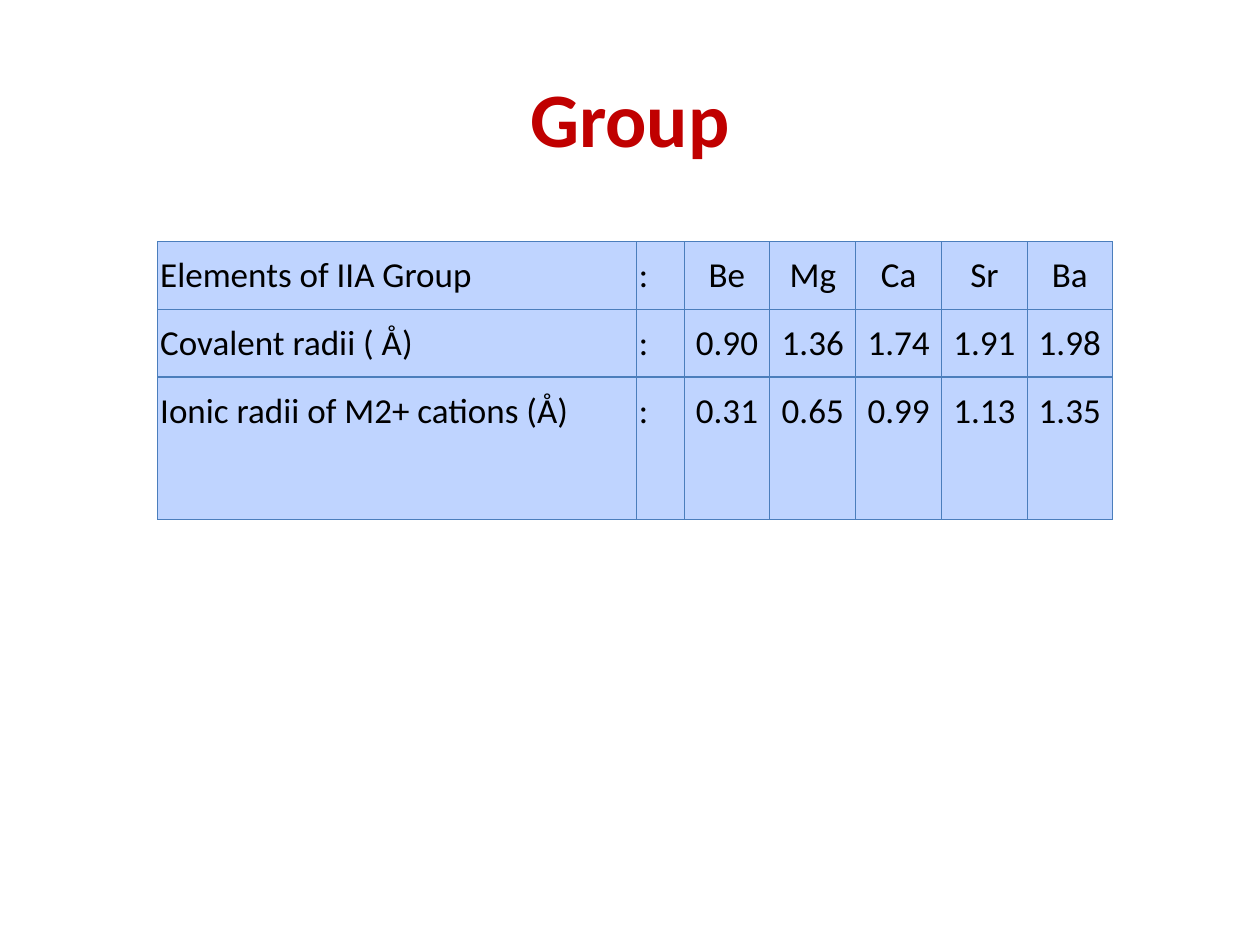
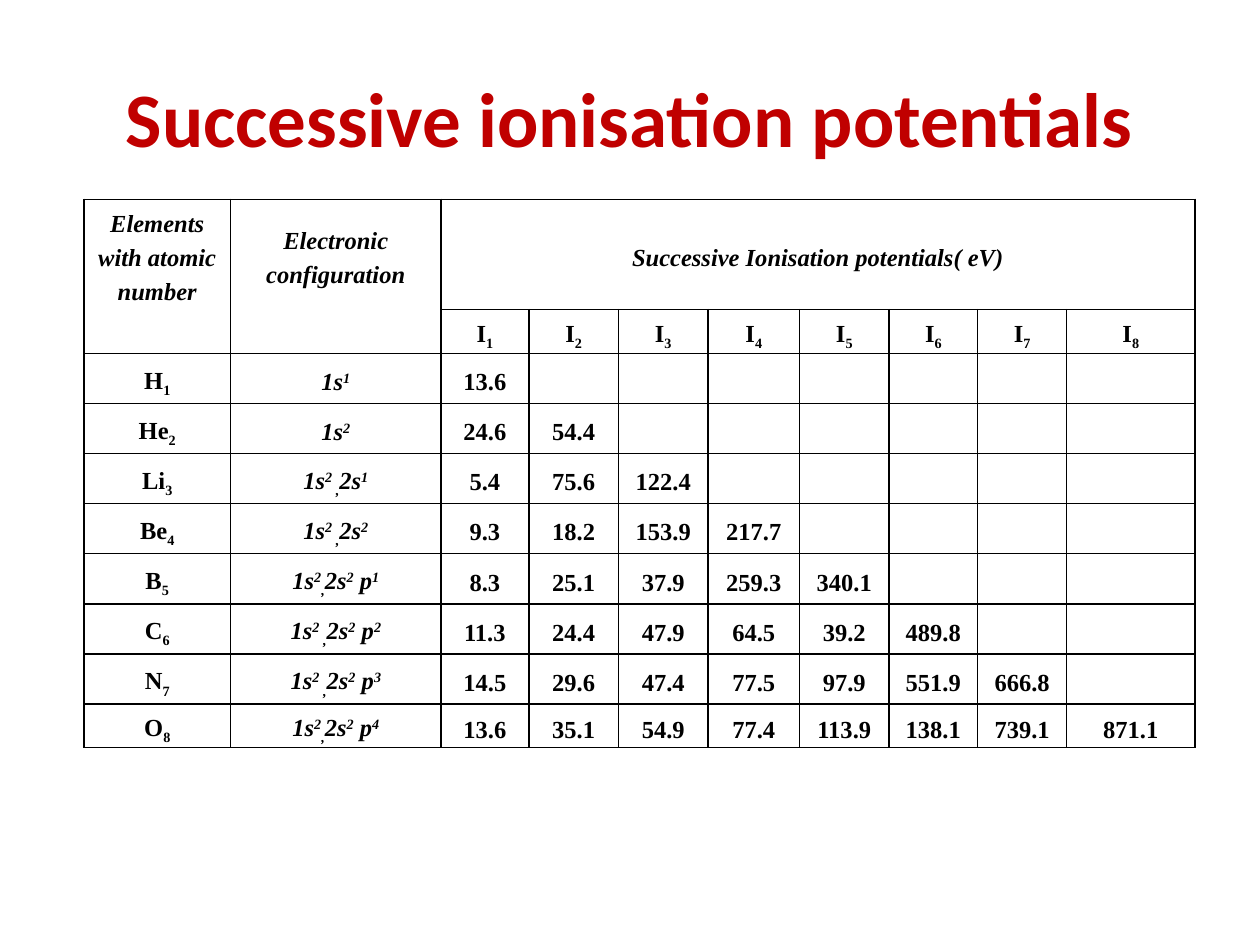
from pptx import Presentation
from pptx.dml.color import RGBColor as RGB
from pptx.enum.text import MSO_ANCHOR as Anchor, PP_ALIGN as Align
from pptx.oxml import parse_xml
from pptx.oxml.ns import nsdecls
from pptx.util import Cm, Pt

HUES = {"title": "C00000", "text": "000000", "cell": "BFD4FF",
        "edge": "4B7EBC", "rule": "000000"}
SHIFT = {"^": "30000", "_": "-25000"}

deck = Presentation()
deck.slide_width, deck.slide_height = Cm(25.4), Cm(19.05)


def start(title, left, top, cols, rows):
    """Add a slide with its title and an empty table; return the table."""
    slide = deck.slides.add_slide(deck.slide_layouts[6])
    frame = slide.shapes.add_textbox(Cm(1.27), Cm(0.76), Cm(22.86), Cm(3.18)).text_frame
    frame.word_wrap = True
    frame.vertical_anchor = Anchor.MIDDLE
    para = frame.paragraphs[0]
    para.text = title
    para.alignment = Align.CENTER
    para.font.name, para.font.size, para.font.bold = "Calibri", Pt(44), True
    para.font.color.rgb = RGB.from_string(HUES["title"])

    table = slide.shapes.add_table(len(rows), len(cols), Cm(left), Cm(top),
                                   Cm(sum(cols)), Cm(sum(rows))).table
    table.first_row = table.horz_banding = False
    for col, width in zip(table.columns, cols):
        col.width = Cm(width)
    for row, height in zip(table.rows, rows):
        row.height = Cm(height)
    return table


def fill(cell, text, font, size, hue, width, bare="", bold=False, italic=False):
    """Style a cell and return its paragraph.

    '|' parts runs; a leading ^ or _ raises or lowers one.
    Sides named in bare (L, R, T, B) get no border.
    """
    cell.margin_left = cell.margin_right = Cm(0.05)
    cell.margin_top = cell.margin_bottom = 0
    para = cell.text_frame.paragraphs[0]
    para.line_spacing, para.space_before, para.space_after = 1.3, Pt(3), Pt(1)
    para.font.name, para.font.size = font, Pt(size)
    para.font.bold, para.font.italic = bold, italic
    para.font.color.rgb = RGB.from_string(HUES["text"])
    for part in text.split("|") if text else []:
        run = para.add_run()
        run.text = part.lstrip("^_")
        if part[0] in SHIFT:
            run.font._element.set("baseline", SHIFT[part[0]])
    props = cell._tc.get_or_add_tcPr()
    for spot, side in enumerate("LRTB"):
        paint = ("<a:noFill/>" if side in bare else
                 f'<a:solidFill><a:srgbClr val="{HUES[hue]}"/></a:solidFill>')
        props.insert(spot, parse_xml(
            f'<a:ln{side} {nsdecls("a")} w="{Pt(width)}">{paint}</a:ln{side}>'))
    return para


# Slide 1: radii
radii = [
    ["Elements of IIA Group", ":", "Be", "Mg", "Ca", "Sr", "Ba"],
    ["Covalent radii ( Å)", ":", "0.90", "1.36", "1.74", "1.91", "1.98"],
    ["Ionic radii of M2+ cations (Å)", ":", "0.31", "0.65", "0.99", "1.13", "1.35"],
]
table = start("Group", 3.18, 4.87, [9.65, 0.96] + [1.73] * 4 + [1.71], [1.37, 1.36, 2.87])
for r, row in enumerate(radii):
    for c, text in enumerate(row):
        cell = table.cell(r, c)
        cell.fill.solid()
        cell.fill.fore_color.rgb = RGB.from_string(HUES["cell"])
        para = fill(cell, text, "Calibri", 20, "edge", 0.75)
        para.alignment = Align.CENTER if c > 1 else Align.LEFT

# Slide 2: ionisation potentials
atoms = [
    ("H", "1s|^1", "13.6"),
    ("He", "1s|^2", "24.6 54.4"),
    ("Li", "1s|^2 |_,|2s|^1", "5.4 75.6 122.4"),
    ("Be", "1s|^2 |_,|2s|^2", "9.3 18.2 153.9 217.7"),
    ("B", "1s|^2|_,|2s|^2| p|^1", "8.3 25.1 37.9 259.3 340.1"),
    ("C", "1s|^2 |_,|2s|^2| p|^2", "11.3 24.4 47.9 64.5 39.2 489.8"),
    ("N", "1s|^2 |_,|2s|^2| p|^3", "14.5 29.6 47.4 77.5 97.9 551.9 666.8"),
    ("O", "1s|^2|_,|2s|^2| p|^4", "13.6 35.1 54.9 77.4 113.9 138.1 739.1 871.1"),
]
grid = [["Elements with atomic number", "Electronic configuration",
         "Successive Ionisation potentials( eV)"],
        ["", ""] + [f"I|_{n}" for n in range(1, 9)]]
for n, (atom, shells, volts) in enumerate(atoms, 1):
    grid.append([f"{atom}|_{n}", shells] + volts.split())

table = start("Successive ionisation potentials", 1.69, 4.02,
              [2.96, 4.24, 1.77, 1.81, 1.8, 1.85, 1.8, 1.79, 1.79, 2.59],
              [2.13, 0.81] + [1.01] * 7 + [0.81])
for r, row in enumerate(grid):
    for c in range(10):
        cell = table.cell(r, c)
        cell.fill.background()
        cell.vertical_anchor = Anchor.MIDDLE
        bare = {0: "B", 1: "T"}.get(r, "") if c < 2 else ""
        para = fill(cell, row[c] if c < len(row) else "", "Times New Roman", 14, "rule", 1,
                    bare, bold=True, italic=r == 0 or c == 1)
        para.alignment = Align.CENTER
        para.line_spacing = 1.3 if r else 1.25
        para.space_before, para.space_after = Pt(2 if r else 0), Pt(0)
table.cell(0, 2).merge(table.cell(0, 9))

deck.save("out.pptx")
